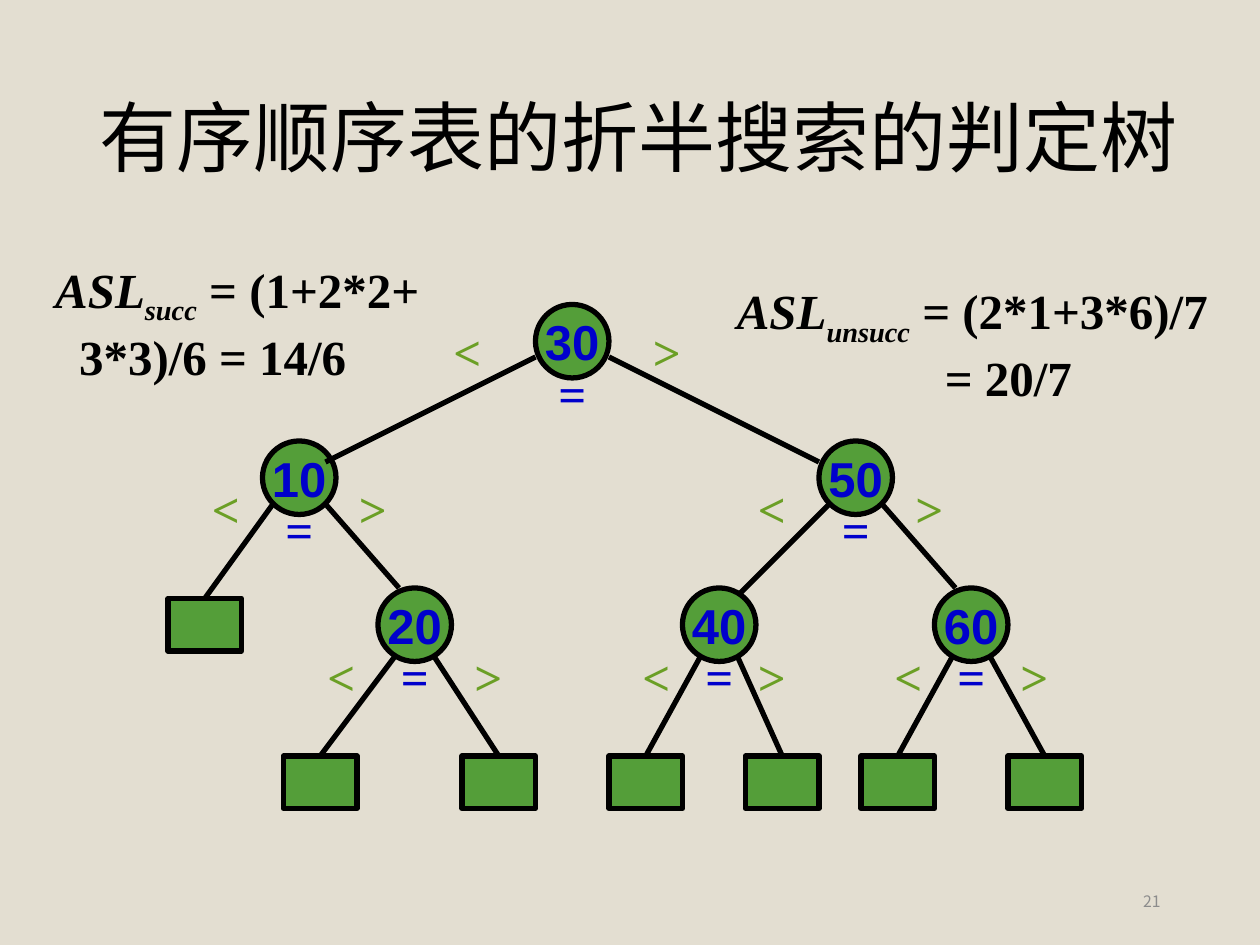
from lxml.etree import SubElement
from pptx import Presentation
from pptx.dml.color import RGBColor
from pptx.enum.shapes import MSO_CONNECTOR, MSO_SHAPE
from pptx.enum.text import MSO_ANCHOR as ANCHOR, MSO_AUTO_SIZE as AUTO_SIZE, PP_ALIGN as ALIGN
from pptx.oxml.ns import qn
from pptx.util import Inches, Pt

CELL = Inches(1) // 12  # the slide is a grid of 120 columns by 90 rows
NODE = 7
LEAF_HEIGHT = 5
SERIF, SANS, CJK = "Times New Roman", "Arial", "Noto Sans CJK SC"
BLACK, BLUE, GREEN, LIME, GREY = "000000", "0000CC", "549E39", "6B9F25", "8C8C8C"
rgb = RGBColor.from_string


def write(paragraph, text, size=28, font=SERIF, color=BLACK, bold=True,
          italic=False, baseline=0, align=ALIGN.LEFT):
    paragraph.alignment = align
    run = paragraph.add_run()
    run.text = text
    run.font.size, run.font.name = Pt(size), font
    run.font.bold, run.font.italic = bold, italic
    run.font.color.rgb = rgb(color)
    properties = run.font._element
    if baseline:
        properties.set("baseline", str(baseline * 1000))
    east_asian = SubElement(properties, qn("a:ea"))
    east_asian.set("typeface", font)


def outline(shape):
    """Give a shape or connector the black tree line and no shadow."""
    shape.line.color.rgb = rgb(BLACK)
    shape.line.width = Pt(3)
    if hasattr(shape, "fill"):
        shape.shadow.inherit = False
        shape.fill.solid()
        shape.fill.fore_color.rgb = rgb(GREEN)
    else:
        SubElement(shape._element.spPr, qn("a:effectLst"))


presentation = Presentation()
presentation.slide_width, presentation.slide_height = 120 * CELL, 90 * CELL
slide = presentation.slides.add_slide(presentation.slide_layouts[5])
shapes = slide.shapes
slide.background.fill.solid()
slide.background.fill.fore_color.rgb = rgb("E3DED1")

title = shapes.title
title.left, title.top = Inches(0.69), Inches(0.4)
title.width, title.height = Inches(8.96), Inches(1.45)
title.text_frame.auto_size = AUTO_SIZE.NONE
title.text_frame.vertical_anchor = ANCHOR.MIDDLE
heading = title.text_frame.paragraphs[0]
heading.line_spacing = 0.9
write(heading, "有序顺序表的折半搜索的判定树", size=44, font=CJK, bold=False)

# key, column, row, column of "<", column of ">", rows down to these signs
upper_nodes = [("30", 51, 29, 42, 61, 1), ("10", 25, 42, 19, 33, 3), ("50", 78, 42, 71, 86, 3)]
lower_nodes = [("20", 36, 56, 30, 44, 5), ("40", 65, 56, 60, 71, 5), ("60", 89, 56, 84, 96, 5)]
# start column and row, end column and row
branches = [(51, 34, 31, 44), (58, 34, 78, 44), (31, 48, 38, 56), (79, 48, 70, 57), (84, 48, 91, 56)]
# leaf column and row, then the column and row where its branch starts
leaves = [(16, 57, 26, 48), (27, 72, 38, 62), (44, 72, 41, 62), (58, 72, 67, 62),
          (71, 72, 70, 62), (82, 72, 91, 62), (96, 72, 94, 62)]

# Branches lie over the upper nodes and under the lower ones
for nodes in (upper_nodes, lower_nodes):
    for key, column, row, less_column, more_column, drop in nodes:
        node = shapes.add_shape(MSO_SHAPE.OVAL, column * CELL, row * CELL, NODE * CELL, NODE * CELL)
        outline(node)
        node.text_frame.word_wrap = False
        node.text_frame.vertical_anchor = ANCHOR.MIDDLE
        write(node.text_frame.paragraphs[0], key, font=SANS, color=BLUE, align=ALIGN.CENTER)
        for sign, sign_column, sign_row, color in (("=", column + 1, row + 5, BLUE),
                                                   ("<", less_column, row + drop, LIME),
                                                   (">", more_column, row + drop, LIME)):
            label = shapes.add_textbox(sign_column * CELL, sign_row * CELL, 5 * CELL, 7 * CELL)
            label.text_frame.word_wrap = False
            write(label.text_frame.paragraphs[0], sign, color=color)
    if nodes is upper_nodes:
        for branch in branches:
            outline(shapes.add_connector(MSO_CONNECTOR.STRAIGHT, *(place * CELL for place in branch)))
        for column, row, start_column, start_row in leaves:
            leaf = shapes.add_shape(MSO_SHAPE.RECTANGLE, column * CELL, row * CELL,
                                    NODE * CELL, LEAF_HEIGHT * CELL)
            outline(leaf)
            branch = shapes.add_connector(MSO_CONNECTOR.STRAIGHT, start_column * CELL,
                                          start_row * CELL, column * CELL, row * CELL)
            branch.end_connect(leaf, 0)
            outline(branch)

# left, top, width, wrap, subscript, first line, second line, its indent
formulas = [(5.75, 2.18, 4.06, False, "unsucc", " = (2*1+3*6)/7", "= 20/7", 1.65),
            (0.34, 2.01, 3.17, True, "succ", " = (1+2*2+", "3*3)/6 = 14/6", 0.19)]
for left, top, width, wrap, subscript, first, second, indent in formulas:
    formula = shapes.add_textbox(Inches(left), Inches(top), Inches(width), Inches(1.03)).text_frame
    formula.word_wrap = wrap
    write(formula.paragraphs[0], "ASL", italic=True)
    write(formula.paragraphs[0], subscript, italic=True, baseline=-25)
    write(formula.paragraphs[0], first)
    second_line = formula.add_paragraph()
    write(second_line, second)
    second_line._element.get_or_add_pPr().set("marL", str(Inches(indent)))

number = shapes.add_textbox(Inches(7.06), Inches(6.95), Inches(2.25), Inches(0.4)).text_frame
number.word_wrap = True
number.vertical_anchor = ANCHOR.MIDDLE
write(number.paragraphs[0], "21", size=9, font=CJK, color=GREY, bold=False, align=ALIGN.RIGHT)

presentation.save("out.pptx")
